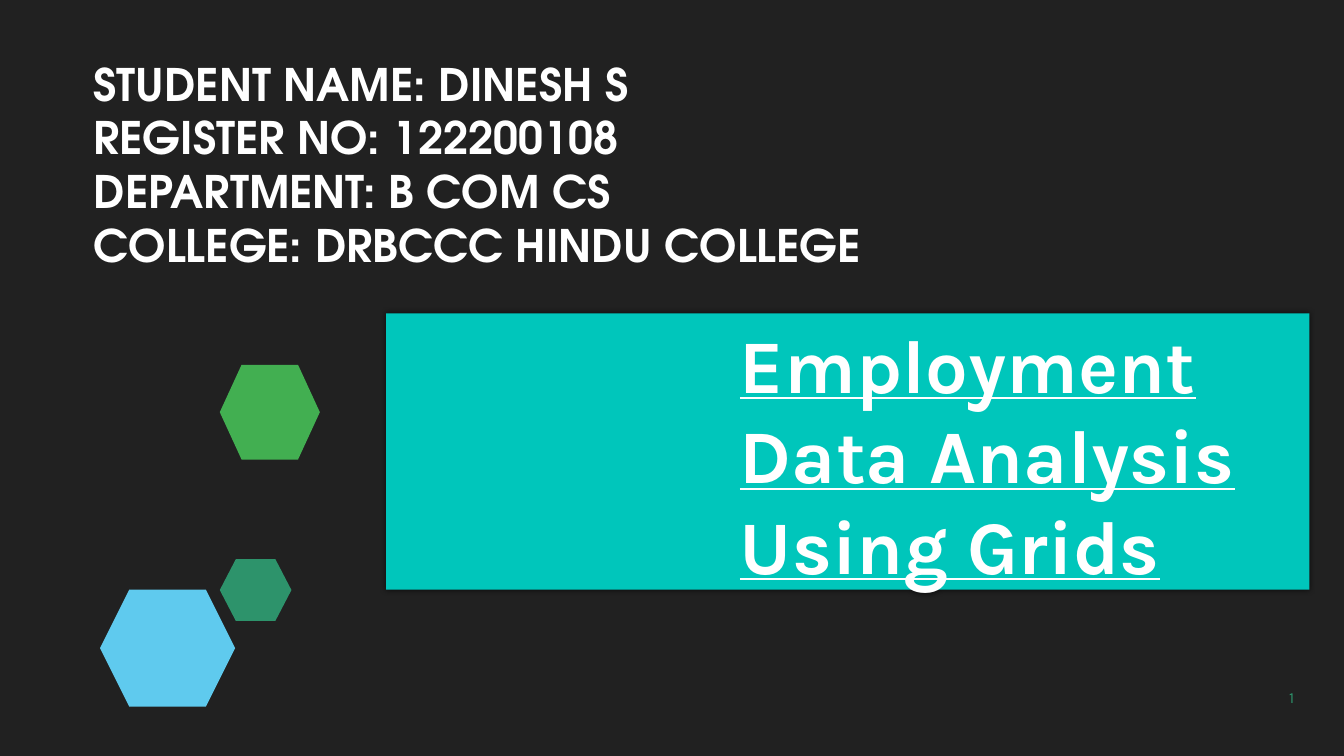
"""Build the title slide of a student's employment data analysis."""
from dataclasses import dataclass

from lxml.etree import SubElement
from pptx import Presentation
from pptx.dml.color import RGBColor
from pptx.enum.shapes import MSO_SHAPE
from pptx.enum.text import MSO_ANCHOR, PP_ALIGN
from pptx.oxml.ns import qn
from pptx.shapes.autoshape import Shape
from pptx.slide import Slide
from pptx.util import Pt

BACKGROUND = RGBColor(0x21, 0x21, 0x21)
WHITE = RGBColor(0xFF, 0xFF, 0xFF)
TURQUOISE = RGBColor(0x00, 0xC6, 0xBB)
SKY_BLUE = RGBColor(0x5F, 0xCA, 0xEE)
SEA_GREEN = RGBColor(0x2D, 0x93, 0x6B)
GREEN = RGBColor(0x42, 0xAF, 0x51)


@dataclass(frozen=True)
class Box:
    left: float
    top: float
    width: float
    height: float


@dataclass(frozen=True)
class Hexagon:
    box: Box
    inset: float
    color: RGBColor


@dataclass(frozen=True)
class TextStyle:
    font: str
    size: float
    color: RGBColor
    bold: bool = False
    underline: bool = False
    tracking: int = 0
    align: PP_ALIGN = PP_ALIGN.LEFT
    anchor: MSO_ANCHOR = MSO_ANCHOR.BOTTOM
    indent: float = 0
    space_before: float = 0
    margins: tuple[float, float, float, float] = (0, 0, 0, 0)


HEXAGONS = (
    Hexagon(Box(71.5, 421.2, 96.5, 83.5), 0.25, SKY_BLUE),
    Hexagon(Box(157, 399.5, 51.2, 44), 0.26, SEA_GREEN),
    Hexagon(Box(157, 260.6, 71.5, 67.7), 0.23, GREEN),
)
TITLE_BOX = Box(275.8, 223.9, 659.5, 197.3)
NUMBER_BOX = Box(841, 465.8, 83.5, 38.9)
STUDENT_BOX = Box(59.8, 36.7, 738, 200.9)

TITLE_STYLE = TextStyle("Karla", 54, WHITE, bold=True, underline=True, tracking=10,
                        indent=252.7, space_before=1.3, margins=(0, 1.3, 0, 0))
NUMBER_STYLE = TextStyle("Karla", 11, SEA_GREEN, tracking=10, align=PP_ALIGN.RIGHT,
                         indent=3, space_before=0.6, margins=(0, 0.6, 0, 0))
STUDENT_STYLE = TextStyle("TeX Gyre Adventor", 32, WHITE, bold=True,
                          anchor=MSO_ANCHOR.TOP, margins=(7.2, 3.6, 7.2, 3.6))

TITLE = "Employment Data Analysis Using Grids"
STUDENT_DETAILS = (
    "STUDENT NAME: DINESH S",
    "REGISTER NO: 122200108",
    "DEPARTMENT: B COM CS",
    "COLLEGE: DRBCCC HINDU COLLEGE",
)


def place(box: Box) -> tuple[Pt, Pt, Pt, Pt]:
    return Pt(box.left), Pt(box.top), Pt(box.width), Pt(box.height)


def add_filled(slide: Slide, kind: MSO_SHAPE, box: Box, color: RGBColor) -> Shape:
    shape = slide.shapes.add_shape(kind, *place(box))
    shape.shadow.inherit = False
    shape.fill.solid()
    shape.fill.fore_color.rgb = color
    shape.line.fill.background()
    return shape


def add_hexagon(slide: Slide, hexagon: Hexagon) -> None:
    shape = add_filled(slide, MSO_SHAPE.HEXAGON, hexagon.box, hexagon.color)
    shape.adjustments[0] = hexagon.inset


def add_soft_shadow(shape: Shape) -> None:
    effects = shape.element.spPr.find(qn("a:effectLst"))
    shadow = SubElement(effects, qn("a:outerShdw"), blurRad=str(Pt(4)),
                        dist="0", dir="14400000", rotWithShape="0")
    black = SubElement(shadow, qn("a:srgbClr"), val="000000")
    SubElement(black, qn("a:alpha"), val="60000")


def write(shape: Shape, text: str, style: TextStyle) -> None:
    frame = shape.text_frame
    frame.text = text
    frame.word_wrap = True
    frame.vertical_anchor = style.anchor
    (frame.margin_left, frame.margin_top,
     frame.margin_right, frame.margin_bottom) = map(Pt, style.margins)
    for paragraph in frame.paragraphs:
        paragraph.alignment = style.align
        paragraph.space_before = Pt(style.space_before)
        properties = paragraph._p.get_or_add_pPr()
        properties.set("marL", str(Pt(style.indent)))
        properties.set("indent", "0")
        for run in paragraph.runs:
            run.font.name = style.font
            run.font.size = Pt(style.size)
            run.font.bold = style.bold
            run.font.underline = style.underline
            run.font.color.rgb = style.color
            run._r.get_or_add_rPr().set("spc", str(style.tracking))


def main() -> None:
    deck = Presentation()
    deck.slide_width, deck.slide_height = Pt(960), Pt(540)
    slide = deck.slides.add_slide(deck.slide_layouts[6])
    slide.background.fill.solid()
    slide.background.fill.fore_color.rgb = BACKGROUND

    for hexagon in HEXAGONS:
        add_hexagon(slide, hexagon)

    title_panel = add_filled(slide, MSO_SHAPE.RECTANGLE, TITLE_BOX, TURQUOISE)
    add_soft_shadow(title_panel)
    write(title_panel, TITLE, TITLE_STYLE)

    slide_number = slide.shapes.add_textbox(*place(NUMBER_BOX))
    write(slide_number, "1", NUMBER_STYLE)

    student = slide.shapes.add_textbox(*place(STUDENT_BOX))
    write(student, "\n".join(STUDENT_DETAILS), STUDENT_STYLE)

    deck.save("out.pptx")


if __name__ == "__main__":
    main()
